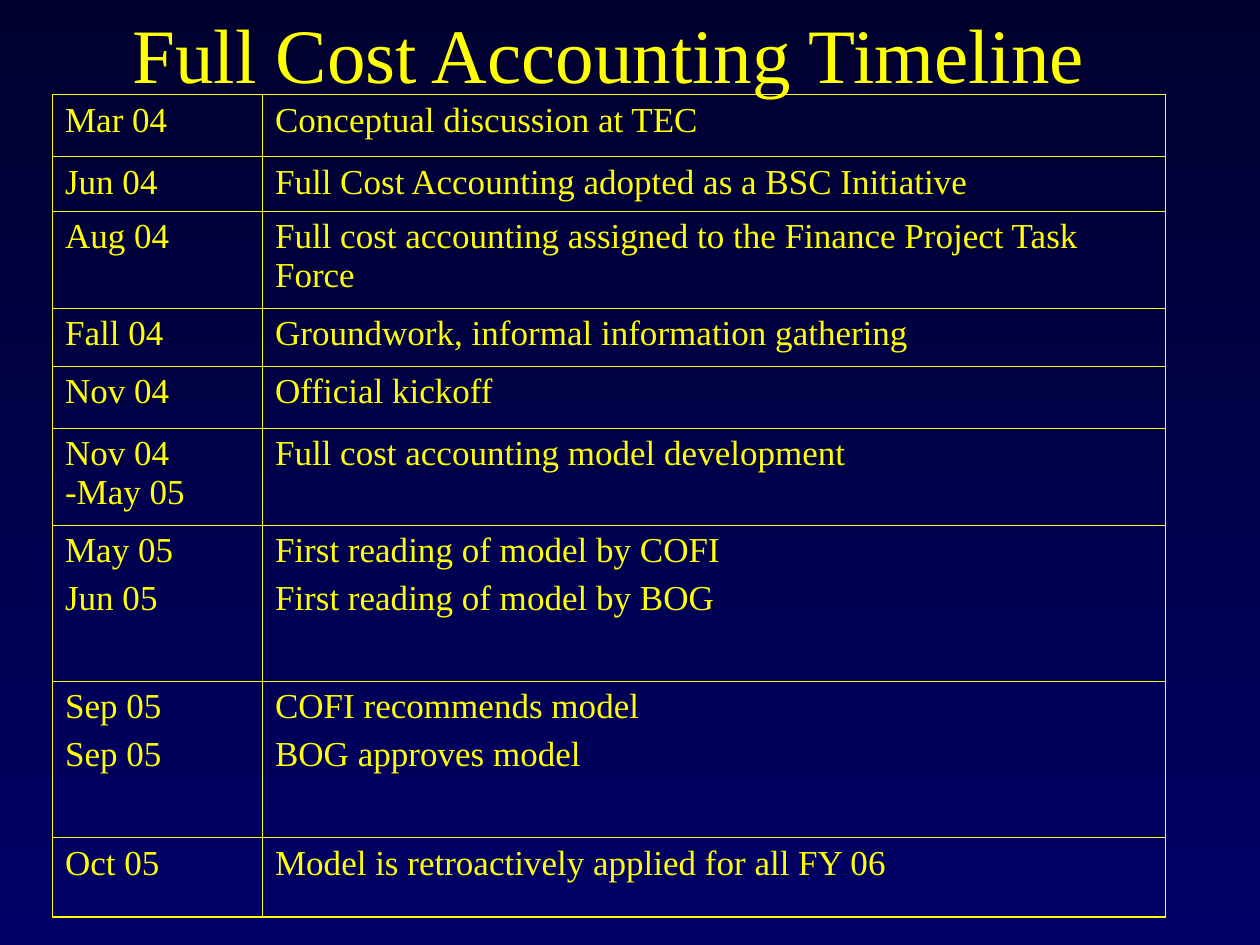
"""Build the full cost accounting timeline slide."""
from lxml import etree
from pptx import Presentation
from pptx.dml.color import RGBColor
from pptx.enum.text import MSO_ANCHOR, PP_ALIGN
from pptx.oxml.ns import qn
from pptx.util import Pt

CENTER = PP_ALIGN.CENTER
MIDDLE = MSO_ANCHOR.MIDDLE
YELLOW = "FFFF00"
FACE = "Times New Roman"
THICK, THIN = Pt(1.08), Pt(0.45)
WIDTHS = [120, 516]
ROWS = [
    (35.4, "Mar 04", "Conceptual discussion at TEC"),
    (31.4, "Jun 04", "Full Cost Accounting adopted as a BSC Initiative"),
    (55.4, "Aug 04", "Full cost accounting assigned to the Finance Project Task Force"),
    (33.1, "Fall 04", "Groundwork, informal information gathering"),
    (35.4, "Nov 04", "Official kickoff"),
    (55.4, "Nov 04 -May 05", "Full cost accounting model development"),
    (89.4, "May 05\nJun 05", "First reading of model by COFI\nFirst reading of model by BOG"),
    (89.4, "Sep 05\nSep 05", "COFI recommends model\nBOG approves model"),
    (45.4, "Oct 05", "Model is retroactively applied for all FY 06"),
]


def color(code):
    return RGBColor.from_string(code)


def style(para, size):
    para.font.name = FACE
    para.font.size = Pt(size)
    para.font.color.rgb = color(YELLOW)


deck = Presentation()
deck.slide_width, deck.slide_height = Pt(720), Pt(540)
slide = deck.slides.add_slide(deck.slide_layouts[6])

back = slide.background.fill
back.gradient()
back.gradient_angle = 270
for stop, code in zip(back.gradient_stops, ["00002F", "000066"]):
    stop.color.rgb = color(code)

total = sum(row[0] for row in ROWS)
frame = slide.shapes.add_table(len(ROWS), len(WIDTHS), Pt(30), Pt(54),
                               Pt(sum(WIDTHS)), Pt(total))
table = frame.table
table.first_row = False
table.horz_banding = False
for col, width in zip(table.columns, WIDTHS):
    col.width = Pt(width)

last_row, last_col = len(ROWS) - 1, len(WIDTHS) - 1
for r, (height, *texts) in enumerate(ROWS):
    table.rows[r].height = Pt(height)
    for c, text in enumerate(texts):
        cell = table.cell(r, c)
        cell.text = text
        for i, para in enumerate(cell.text_frame.paragraphs):
            style(para, 20)
            if i:
                para.space_before = Pt(5)
        cell.fill.background()
        props = cell._tc.get_or_add_tcPr()
        outer = {"L": c == 0, "R": c == last_col, "T": r == 0, "B": r == last_row}
        for i, (side, edge) in enumerate(outer.items()):
            line = etree.Element(qn(f"a:ln{side}"), w=str(THICK if edge else THIN))
            fill = etree.SubElement(line, qn("a:solidFill"))
            etree.SubElement(fill, qn("a:srgbClr"), val=YELLOW)
            props.insert(i, line)

title = slide.shapes.add_textbox(Pt(42), Pt(0), Pt(612), Pt(60)).text_frame
title.word_wrap = True
title.vertical_anchor = MIDDLE
title.text = "Full Cost Accounting Timeline"
head = title.paragraphs[0]
head.alignment = CENTER
style(head, 44)

deck.save("out.pptx")
